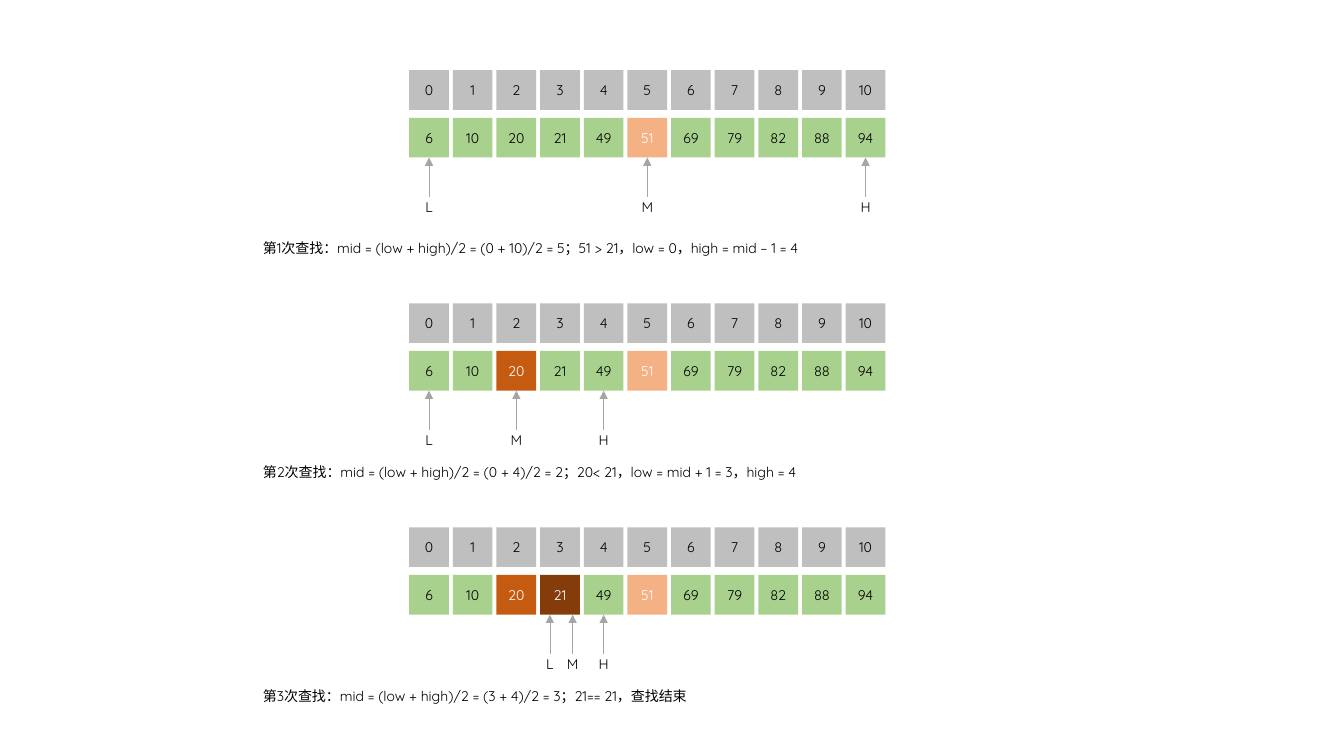
from lxml import etree
from pptx import Presentation
from pptx import util as u
from pptx.dml.color import RGBColor
from pptx.enum import shapes, text
from pptx.oxml import ns

VALUES = [6, 10, 20, 21, 49, 51, 69, 79, 82, 88, 94]
GREY, GREEN = "BFBFBF", "A9D18E"
PEACH, ORANGE, BROWN = "F4B183", "C55A11", "843C0B"

# Geometry in points
CELL = 28.35
PITCH = 31.18
ARRAY_LEFT = 292.3
ROW_STEP = 34
ARROW_LENGTH = 28.35
LABEL_OFFSET = 83.7
CAPTION_LEFT, CAPTION_WIDTH = 180.7, 451.7

# Each step: top, caption top, probed cells, pointers (name, index, shift), caption
STEPS = [
    (50.2, 162.7, {5: PEACH},
     [("L", 0, 0), ("H", 10, 0), ("M", 5, 0)],
     "第1次查找：mid = (low + high)/2 = (0 + 10)/2 = 5；51 > 21，low = 0，high = mid – 1 = 4"),
    (216.7, 322.7, {5: PEACH, 2: ORANGE},
     [("L", 0, 0), ("H", 4, 0), ("M", 2, 0)],
     "第2次查找：mid = (low + high)/2 = (0 + 4)/2 = 2；20< 21，low = mid + 1 = 3，high = 4"),
    (376.7, 482.9, {5: PEACH, 2: ORANGE, 3: BROWN},
     [("L", 3, -7.2), ("H", 4, 0), ("M", 3, 9)],
     "第3次查找：mid = (low + high)/2 = (3 + 4)/2 = 3；21== 21，查找结束"),
]


def color(value):
    return RGBColor.from_string(value)


class Diagram:
    font, size, line_color, line_width = "Quicksand", 10, "A5A5A5", 0.5

    def __init__(self, slide):
        self.slide = slide

    def add_text(self, shape, content, fill="000000", align=text.PP_ALIGN.CENTER, inset=0):
        frame = shape.text_frame
        frame.word_wrap = True
        frame.vertical_anchor = text.MSO_ANCHOR.MIDDLE
        frame.margin_left = frame.margin_right = u.Pt(inset)
        paragraph = frame.paragraphs[0]
        paragraph.alignment = align
        run = paragraph.add_run()
        run.text = content
        run.font.name, run.font.size = self.font, u.Pt(self.size)
        run.font.color.rgb = color(fill)

    def cell(self, left, top, content, fill, text_color="000000"):
        shape = self.slide.shapes.add_shape(
            shapes.MSO_SHAPE.RECTANGLE, u.Pt(left), u.Pt(top), u.Pt(CELL), u.Pt(CELL))
        shape.shadow.inherit = False
        shape.fill.solid()
        shape.fill.fore_color.rgb = color(fill)
        shape.line.fill.background()
        self.add_text(shape, content, text_color)
        return shape

    def label(self, left, top, width, content, **style):
        shape = self.slide.shapes.add_textbox(
            u.Pt(left), u.Pt(top), u.Pt(width), u.Pt(CELL))
        self.add_text(shape, content, **style)

    def arrow(self, x, tip, target=None):
        connector = self.slide.shapes.add_connector(
            shapes.MSO_CONNECTOR.STRAIGHT,
            u.Pt(x), u.Pt(tip + ARROW_LENGTH), u.Pt(x), u.Pt(tip))
        if target is not None:
            connector.end_connect(target, 2)
        connector.line.color.rgb = color(self.line_color)
        connector.line.width = u.Pt(self.line_width)
        properties = connector._element.spPr
        line = properties.find(ns.qn("a:ln"))
        etree.SubElement(line, ns.qn("a:tailEnd"), type="triangle")
        etree.SubElement(properties, ns.qn("a:effectLst"))


def draw_step(diagram, top, caption_top, probed, pointers, caption):
    # Index row and value row
    value_top = top + ROW_STEP
    value_cells = []
    for index, value in enumerate(VALUES):
        left = ARRAY_LEFT + index * PITCH
        diagram.cell(left, top, str(index), GREY)
        value_cells.append(diagram.cell(
            left, value_top, str(value), probed.get(index, GREEN),
            "FFFFFF" if index in probed else "000000"))

    # Low, high and mid pointers
    for name, index, shift in pointers:
        left = ARRAY_LEFT + index * PITCH + shift
        target = None if shift else value_cells[index]
        diagram.arrow(left + CELL / 2, value_top + CELL, target)
        diagram.label(left, top + LABEL_OFFSET, CELL, name)

    # Explanation
    diagram.label(CAPTION_LEFT, caption_top, CAPTION_WIDTH, caption,
                  align=text.PP_ALIGN.LEFT, inset=7.2)


def main():
    presentation = Presentation()
    presentation.slide_width, presentation.slide_height = u.Pt(960), u.Pt(540)
    slide = presentation.slides.add_slide(presentation.slide_layouts[6])
    diagram = Diagram(slide)
    for step in STEPS:
        draw_step(diagram, *step)
    presentation.save("out.pptx")


if __name__ == "__main__":
    main()
